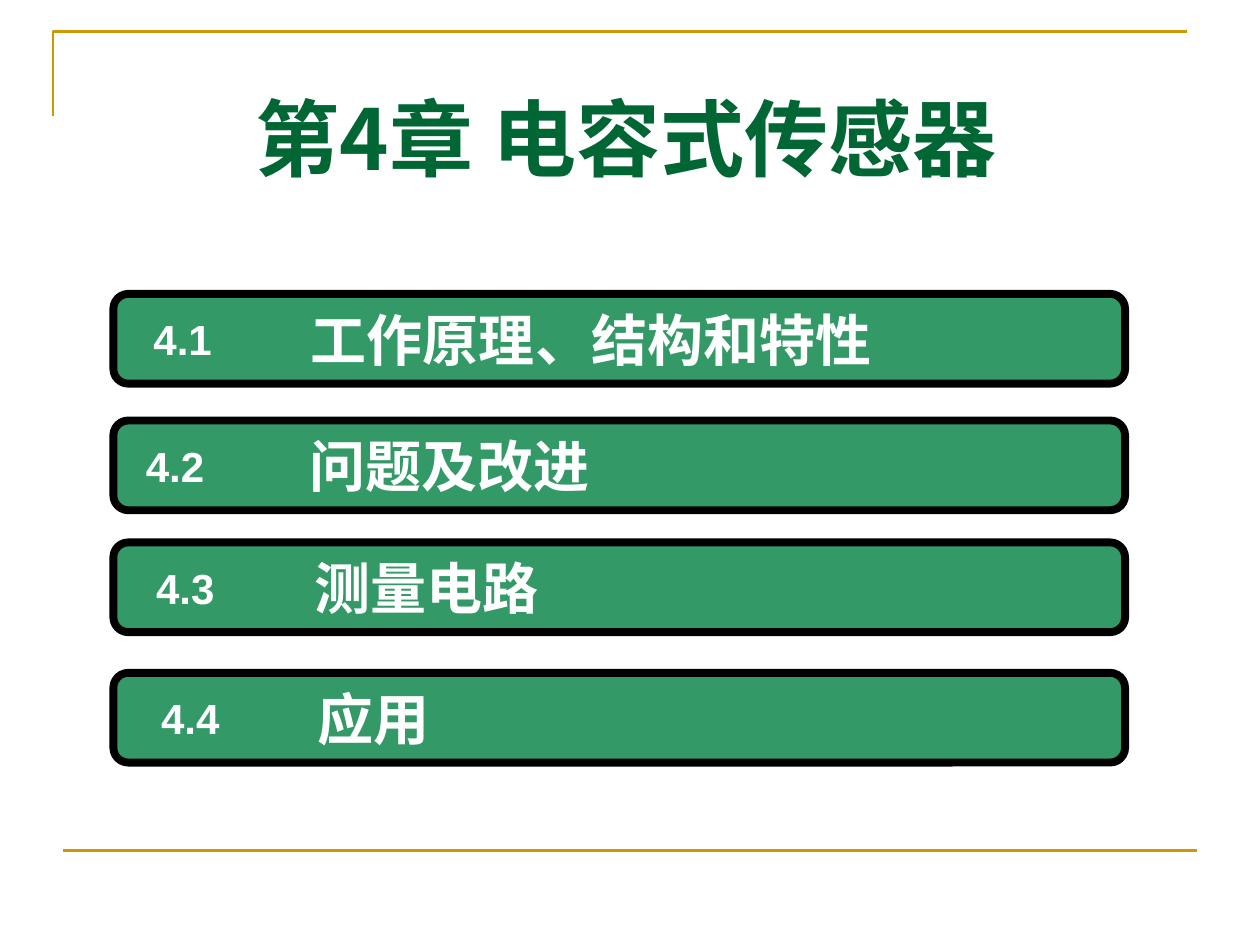
from dataclasses import dataclass

from lxml import etree
from pptx import Presentation
from pptx import util as u
from pptx.dml.color import RGBColor
from pptx.enum import shapes, text
from pptx.oxml.ns import qn

WIDTH, HEIGHT = 10, 7.5
GOLD, DARK_GREEN, GREEN = "CC9900", "006633", "339966"
BLACK, WHITE = "000000", "FFFFFF"
BAR_LEFT, BAR_WIDTH, BAR_HEIGHT = 0.09, 0.803, 0.095


@dataclass
class Section:
    """A contents bar; positions are shares of the slide's size."""
    number: str
    name: str
    top: float
    number_left: float
    name_left: float
    name_width: float


SECTIONS = [
    Section("4.1", "工作原理、结构和特性", 0.311, 0.112, 0.237, 0.484),
    Section("4.2", "问题及改进", 0.445, 0.106, 0.236, 0.654),
    Section("4.3", "测量电路", 0.574, 0.114, 0.24, 0.463),
    Section("4.4", "应用", 0.712, 0.118, 0.242, 0.114),
]


def x(share: float) -> int:
    return u.Inches(share * WIDTH)


def y(share: float) -> int:
    return u.Inches(share * HEIGHT)


def color(value: str) -> RGBColor:
    return RGBColor.from_string(value)


def set_line(line, value: str, width: float) -> None:
    line.color.rgb = color(value)
    line.width = u.Pt(width)


def add_text(parent, words: str, left: float, top: float, width: float,
             height: float, size: int, fill: str = WHITE, font: str = "Arial",
             align=text.PP_ALIGN.LEFT, wrap: bool = True) -> None:
    sp = parent.add_textbox(x(left), y(top), x(width), y(height))
    tf = sp.text_frame
    tf.word_wrap = wrap
    tf.vertical_anchor = text.MSO_ANCHOR.MIDDLE
    p = tf.paragraphs[0]
    p.text = words
    p.alignment = align
    p.font.name, p.font.size, p.font.bold = font, u.Pt(size), True
    p.font.color.rgb = color(fill)


def add_frame(s) -> None:
    """Draw the gold corner at the top and the gold rule at the bottom."""
    builder = s.shapes.build_freeform(x(0.042), y(0.123))
    builder.add_line_segments(
        [(x(0.042), y(0.033)), (x(0.942), y(0.033))], close=False)
    corner = builder.convert_to_shape()
    corner.shadow.inherit = False
    corner.fill.background()
    set_line(corner.line, GOLD, 1.5)

    rule = s.shapes.add_connector(
        shapes.MSO_CONNECTOR.STRAIGHT, x(0.05), y(0.9), x(0.95), y(0.9))
    set_line(rule.line, GOLD, 1.5)
    etree.SubElement(rule._element.spPr, qn("a:effectLst"))


def add_section(s, section: Section) -> None:
    group = s.shapes.add_group_shape().shapes
    bar = group.add_shape(
        shapes.MSO_SHAPE.ROUNDED_RECTANGLE,
        x(BAR_LEFT), y(section.top), x(BAR_WIDTH), y(BAR_HEIGHT))
    bar.adjustments[0] = 0.167
    bar.shadow.inherit = False
    bar.fill.solid()
    bar.fill.fore_color.rgb = color(GREEN)
    set_line(bar.line, BLACK, 4.5)
    add_text(group, section.name, section.name_left, section.top + 0.005,
             section.name_width, 0.085, 32)
    add_text(group, section.number, section.number_left, section.top + 0.014,
             0.066, 0.067, 24, align=text.PP_ALIGN.CENTER, wrap=False)


def main() -> None:
    prs = Presentation()
    prs.slide_width, prs.slide_height = u.Inches(WIDTH), u.Inches(HEIGHT)
    s = prs.slides.add_slide(prs.slide_layouts[6])
    add_frame(s)
    add_text(s.shapes, "第4章 电容式传感器", 0.193, 0.083, 0.654, 0.124, 48,
             DARK_GREEN, "Noto Sans CJK SC")
    for section in SECTIONS:
        add_section(s, section)
    prs.save("out.pptx")


if __name__ == "__main__":
    main()
